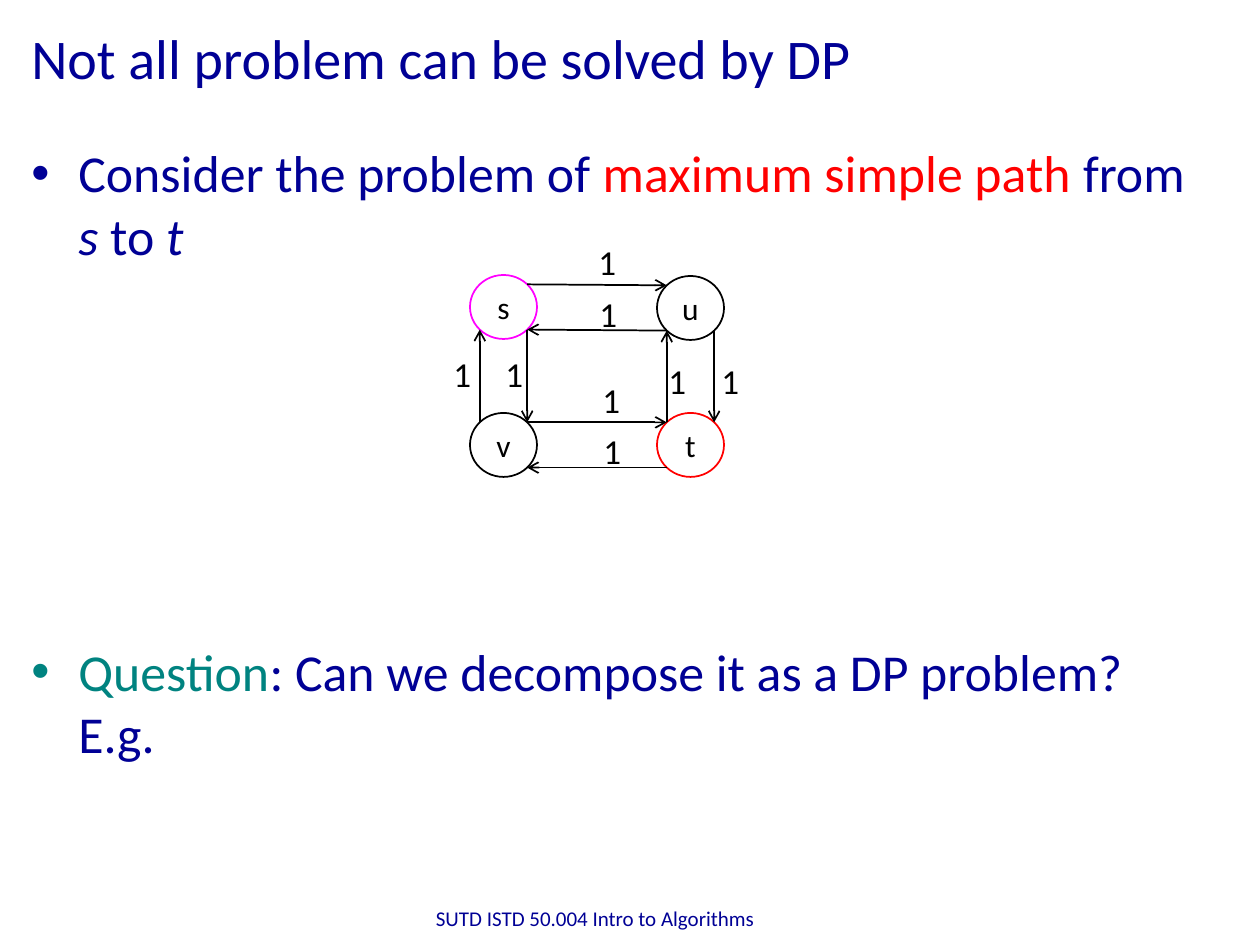
from dataclasses import dataclass
from pptx import Presentation
from pptx.dml.color import RGBColor
from pptx.enum.shapes import MSO_CONNECTOR as Connector, MSO_SHAPE as Preset
from pptx.enum.text import MSO_ANCHOR as Anchor, PP_ALIGN as Align
from pptx.oxml.ns import qn
from pptx.util import Emu, Pt
from lxml.etree import SubElement

PX = 914400 // 126


@dataclass(frozen=True)
class Theme:
    font: str = "Calibri"
    navy: str = "000095"
    red: str = "FF0000"
    teal: str = "008380"
    magenta: str = "FF00FF"
    black: str = "000000"
    title: float = 32
    body: float = 29.6
    weight: float = 20
    node: float = 18
    footer: float = 12


THEME = Theme()
TITLE = "Not all problem can be solved by DP"
FOOTER = "SUTD ISTD 50.004 Intro to Algorithms "
BULLETS = [
    (0, [("Consider the problem of ", THEME.navy, False),
         ("maximum simple path ", THEME.red, False),
         ("from ", THEME.navy, False), ("s ", THEME.navy, True),
         ("to ", THEME.navy, False), ("t", THEME.navy, True)]),
    (374, [("Question", THEME.teal, False),
           (": Can we decompose it as a DP problem? E.g.", THEME.navy, False)]),
]
NODE_SIZE = (67, 64)
NODES = {
    "s": (470, 275, THEME.magenta),
    "v": (470, 413, THEME.black),
    "t": (657, 413, THEME.red),
    "u": (657, 276, THEME.black),
}
CORNERS = {"top left": (-1, -1), "top right": (1, -1),
           "bottom left": (-1, 1), "bottom right": (1, 1)}
EDGES = [
    ("s", "top right", "u", "top left", "1", (586, 234)),
    ("u", "bottom left", "s", "bottom right", "1", (587, 286)),
    ("v", "top right", "t", "top left", "1", (590, 372)),
    ("t", "bottom left", "v", "bottom right", "1", (591, 423)),
    ("u", "bottom right", "t", "top right", "1", (709, 353)),
    ("t", "top left", "u", "bottom left", "1", (656, 353)),
    ("s", "bottom right", "v", "top right", "1", (493, 346)),
    ("v", "top left", "s", "bottom left", "1", (441, 346)),
]


def px(*lengths):
    return [Emu(round(length * PX)) for length in lengths]


def color(value):
    return RGBColor.from_string(value)


def add_span(para, text, size, ink, italic=False):
    span = para.add_run()
    span.text = text
    formats = {"name": THEME.font, "size": Pt(size), "italic": italic}
    for name, value in formats.items():
        setattr(span.font, name, value)
    span.font.color.rgb = color(ink)


def add_text(page, place, text, size, ink, wrap=True, anchor=Anchor.TOP, align=Align.LEFT):
    frame = page.shapes.add_textbox(*px(*place)).text_frame
    for name, value in {"word_wrap": wrap, "vertical_anchor": anchor}.items():
        setattr(frame, name, value)
    para = frame.paragraphs[0]
    para.alignment = align
    add_span(para, text, size, ink)


def add_bullets(page):
    frame = page.shapes.add_textbox(*px(19, 135, 1203, 604)).text_frame
    frame.word_wrap = True
    for index, (gap, spans) in enumerate(BULLETS):
        para = frame.add_paragraph() if index else frame.paragraphs[0]
        if gap:
            para.space_before = px(gap)[0]
        props = para._p.get_or_add_pPr()
        indent = px(47)[0]
        props.set("marL", str(indent))
        props.set("indent", str(-indent))
        SubElement(props, qn("a:buFont"), typeface="Arial")
        SubElement(props, qn("a:buChar"), char="•")
        for text, ink, italic in spans:
            add_span(para, text, THEME.body, ink, italic)


def add_node(page, label, left, top, outline):
    node = page.shapes.add_shape(Preset.OVAL, *px(left, top, *NODE_SIZE))
    node.shadow.inherit = False
    node.fill.background()
    node.line.color.rgb = color(outline)
    node.line.width = Pt(1)
    frame = node.text_frame
    for name in ("margin_left", "margin_right", "margin_top", "margin_bottom"):
        setattr(frame, name, 0)
    frame.vertical_anchor = Anchor.MIDDLE
    para = frame.paragraphs[0]
    para.alignment = Align.CENTER
    add_span(para, label, THEME.node, THEME.black)


def rim_point(label, corner):
    reach = 0.5 ** 0.5
    return [start + size / 2 * (1 + side * reach)
            for start, size, side in zip(NODES[label], NODE_SIZE, CORNERS[corner])]


def add_arrow(page, start, end):
    arrow = page.shapes.add_connector(Connector.STRAIGHT, *px(*start, *end))
    arrow.line.color.rgb = color(THEME.black)
    arrow.line.width = Pt(1)
    SubElement(arrow.line._get_or_add_ln(), qn("a:tailEnd"), type="arrow")
    SubElement(arrow._element.spPr, qn("a:effectLst"))


def main():
    deck = Presentation()
    deck.slide_width, deck.slide_height = px(1260, 945)
    page = deck.slides.add_slide(deck.slide_layouts[6])
    for label, (left, top, outline) in NODES.items():
        add_node(page, label, left, top, outline)
    for source, leave, target, arrive, weight, place in EDGES:
        add_arrow(page, rim_point(source, leave), rim_point(target, arrive))
        add_text(page, (*place, 43, 55), weight, THEME.weight, THEME.black, wrap=False)
    add_text(page, (19, 4, 1134, 107), TITLE, THEME.title, THEME.navy, anchor=Anchor.MIDDLE)
    add_bullets(page)
    add_text(page, (398, 893, 399, 50), FOOTER, THEME.footer, THEME.navy,
             anchor=Anchor.MIDDLE, align=Align.CENTER)
    deck.save("out.pptx")


if __name__ == "__main__":
    main()
